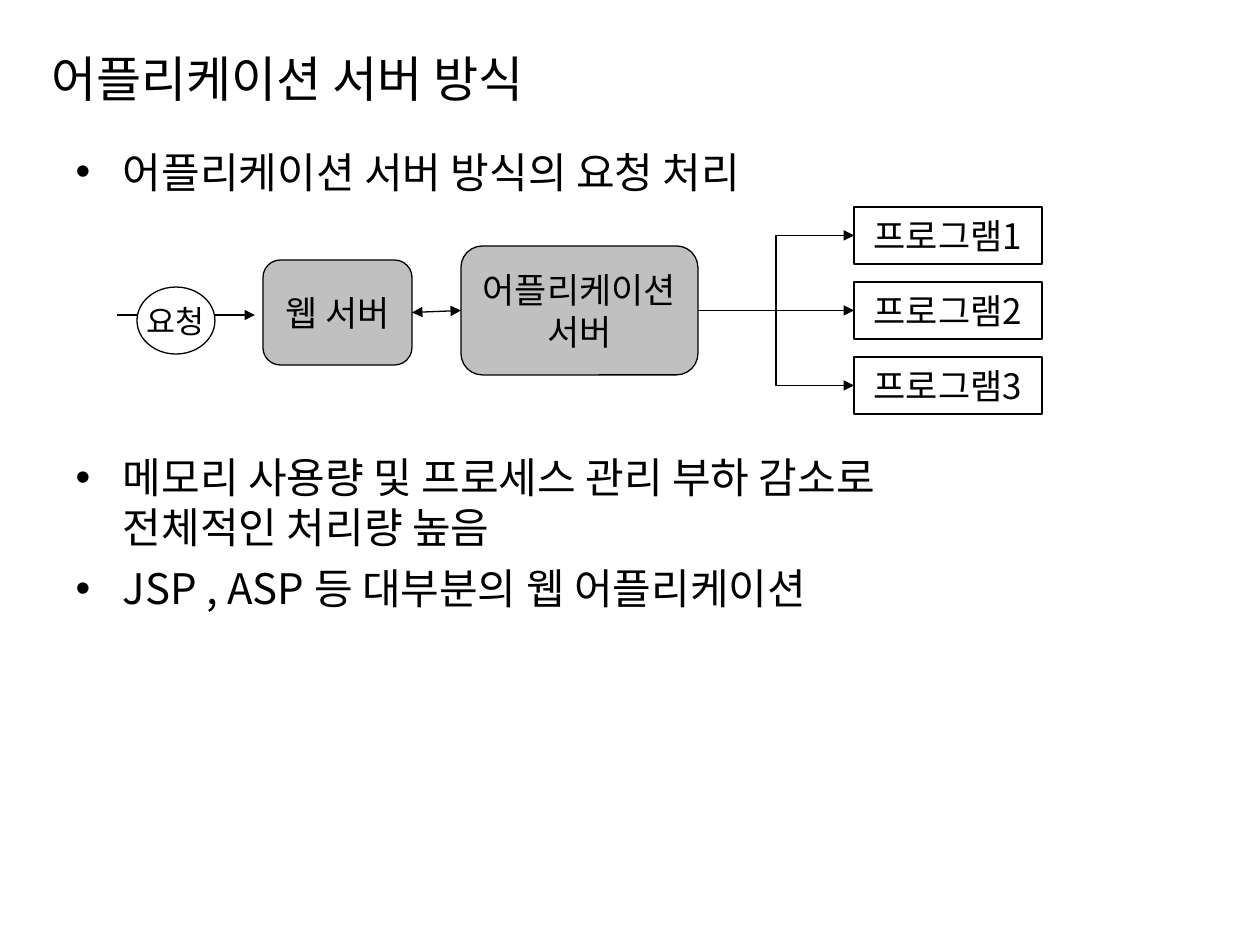
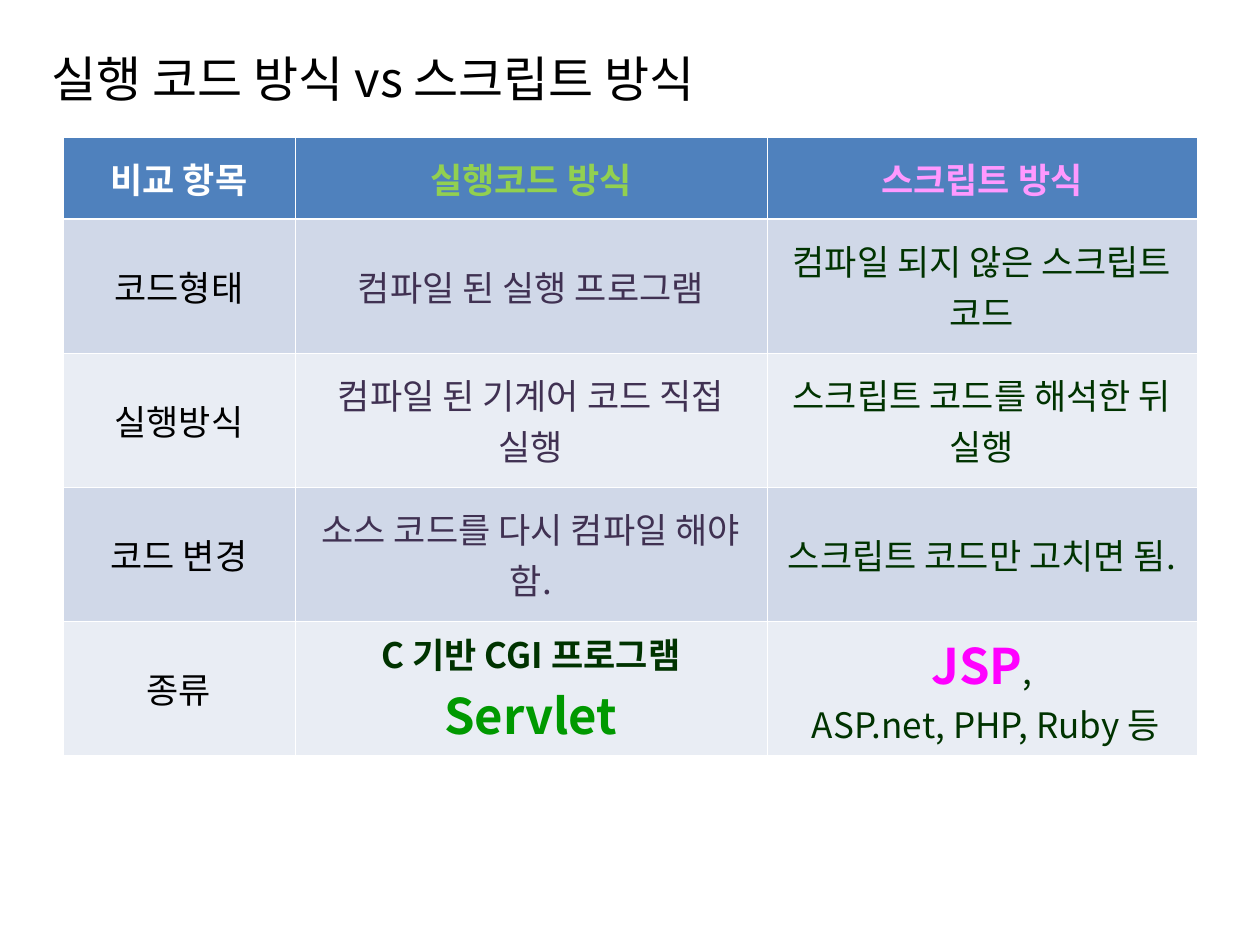
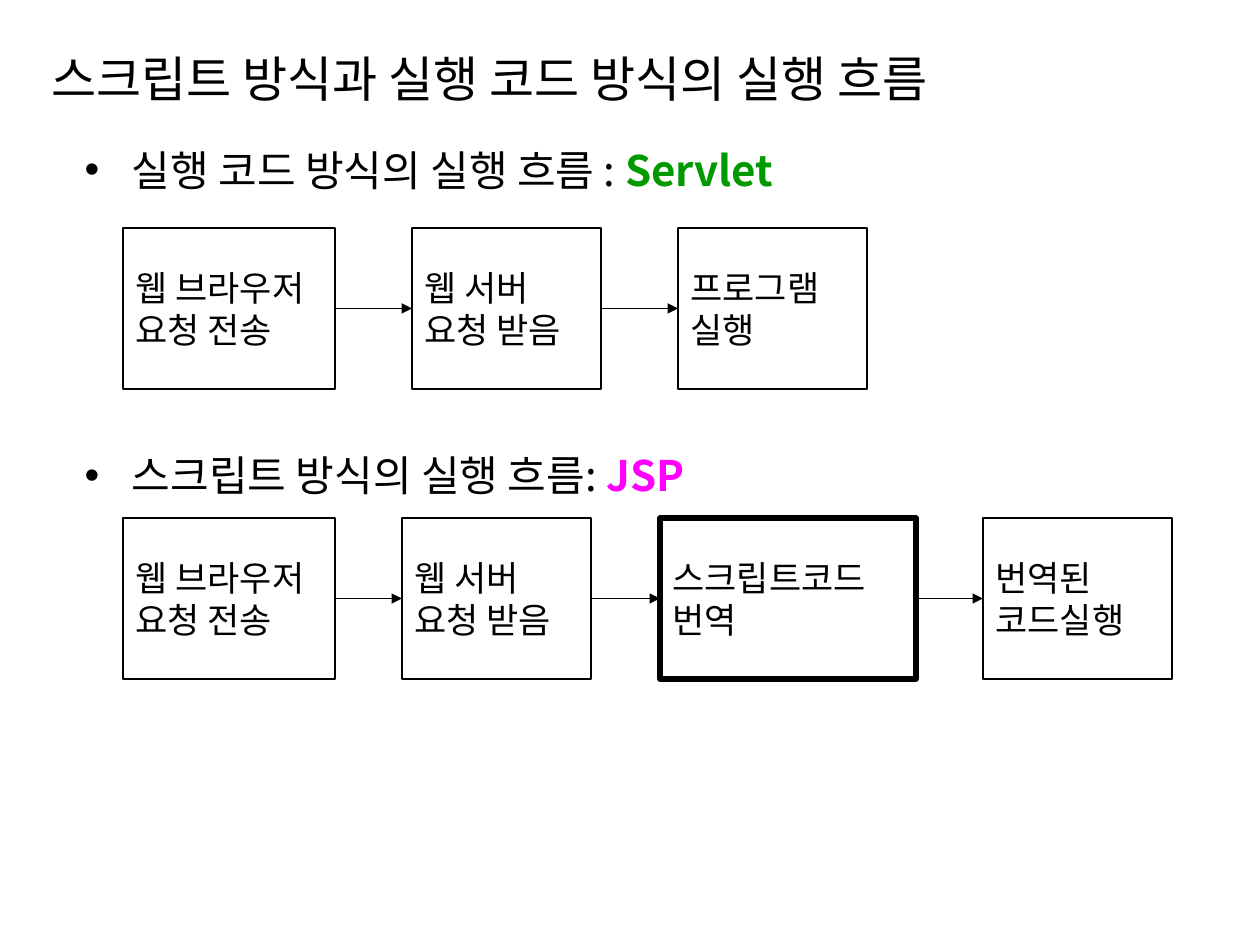
from dataclasses import dataclass
from itertools import pairwise
from typing import Any, NamedTuple

import lxml.etree
import pptx
import pptx.dml.color
import pptx.enum.shapes
import pptx.enum.text
import pptx.oxml.ns
import pptx.util

FONT = "Noto Sans CJK KR"
COLORS = {
    "ink": "000000", "white": "FFFFFF", "gray": "C0C0C0",
    "blue": "4F81BD", "band": "D0D8E8", "pale": "E9EDF4",
    "lime": "92D050", "pink": "FF99FF", "plum": "403152",
    "pine": "003300", "green": "009900", "rose": "FF00FF",
}
KIND = pptx.enum.shapes.MSO_SHAPE
LINK = pptx.enum.shapes.MSO_CONNECTOR
ALIGN = pptx.enum.text.PP_ALIGN
MIDDLE = pptx.enum.text.MSO_ANCHOR.MIDDLE
LEFT_SIDE, RIGHT_SIDE = 1, 3
LEAD = 1.2
LIST_SIZE = 24
LIST_GAP = 6
FIGURE_GAP = 145.5


class Run(NamedTuple):
    text: str
    color: str = "ink"
    size: int | None = None
    bold: bool = False


Lines = list[list[Run]]


@dataclass
class Box:
    x: int
    y: int
    w: int
    h: int
    text: str
    kind: Any = KIND.RECTANGLE
    fill: str = "white"
    size: int = 20
    align: Any = ALIGN.CENTER
    line: float = 0.75


def px(count: int) -> int:
    return round(count * 914400 / 126)


def rgb(name: str) -> pptx.dml.color.RGBColor:
    return pptx.dml.color.RGBColor.from_string(COLORS[name])


def tag(parent: Any, name: str, **attrs: str) -> Any:
    """Append a drawing element to its parent."""
    return lxml.etree.SubElement(parent, pptx.oxml.ns.qn(name), attrs)


def plain(text: str, color: str = "ink", bold: bool = False) -> Lines:
    return [[Run(part, color, bold=bold)] for part in text.split("\n")]


def write(frame: Any, lines: Lines, *, size: int, align: Any = ALIGN.LEFT,
          lead: float | None = None, gaps: tuple[float, ...] = ()) -> None:
    """Fill a text frame; gaps are the spaces before the second line onward."""
    for i, runs in enumerate(lines):
        para = frame.add_paragraph() if i else frame.paragraphs[0]
        para.alignment = align
        para.space_before = pptx.util.Pt(gaps[i - 1] if i and gaps else 0)
        if lead:
            para.line_spacing = pptx.util.Pt(size * lead)
        for run in runs:
            for j, part in enumerate(run.text.split("\n")):
                if j:
                    para.add_line_break()
                piece = para.add_run()
                piece.text = part
                font = piece.font
                font.size = pptx.util.Pt(run.size or size)
                font.bold = run.bold
                font.color.rgb = rgb(run.color)
                font.name = FONT
                tag(piece._r.get_or_add_rPr(), "a:ea", typeface=FONT)


def place(shape: Any, x: int, y: int, w: int, h: int) -> None:
    shape.left, shape.top, shape.width, shape.height = map(px, (x, y, w, h))


def start(deck: Any, layout: int, title: str) -> Any:
    """Add a slide with its title."""
    slide = deck.slides.add_slide(deck.slide_layouts[layout])
    head = slide.shapes.title
    place(head, 39, 38, 1191, 80)
    head.text_frame.vertical_anchor = MIDDLE
    head.text_frame.auto_size = pptx.enum.text.MSO_AUTO_SIZE.NONE
    write(head.text_frame, plain(title), size=28)
    return slide


def bullets(slide: Any, x: int, y: int, lines: Lines,
            gaps: tuple[float, ...]) -> None:
    body = slide.placeholders[1]
    place(body, x, y, 1134, 707)
    body.text_frame.auto_size = pptx.enum.text.MSO_AUTO_SIZE.NONE
    write(body.text_frame, lines, size=LIST_SIZE, lead=LEAD, gaps=gaps)


def draw(slide: Any, box: Box) -> Any:
    shape = slide.shapes.add_shape(
        box.kind, *map(px, (box.x, box.y, box.w, box.h)))
    shape.shadow.inherit = False
    shape.fill.solid()
    shape.fill.fore_color.rgb = rgb(box.fill)
    shape.line.color.rgb = rgb("ink")
    shape.line.width = pptx.util.Pt(box.line)
    frame = shape.text_frame
    frame.vertical_anchor = MIDDLE
    frame.word_wrap = box.align == ALIGN.LEFT
    lines = plain(box.text)
    write(frame, lines, size=box.size, align=box.align,
          lead=LEAD if len(lines) > 1 else None)
    return shape


def arrow(slide: Any, kind: Any = LINK.STRAIGHT,
          ends: tuple[int, int, int, int] = (0, 0, 0, 0),
          both: bool = False) -> Any:
    line = slide.shapes.add_connector(kind, *map(px, ends))
    line.line.color.rgb = rgb("ink")
    line.line.width = pptx.util.Pt(0.75)
    props = line.element.spPr
    stroke = props.find(pptx.oxml.ns.qn("a:ln"))
    if both:
        tag(stroke, "a:headEnd", type="triangle")
    tag(stroke, "a:tailEnd", type="triangle")
    tag(props, "a:effectLst")
    return line


def join(slide: Any, first: Any, second: Any, kind: Any = LINK.STRAIGHT,
         both: bool = False) -> None:
    """Link the right side of one shape to the left side of the next."""
    line = arrow(slide, kind, both=both)
    line.begin_connect(first, RIGHT_SIDE)
    line.end_connect(second, LEFT_SIDE)


def server(deck: Any) -> None:
    slide = start(deck, 1, "어플리케이션 서버 방식")
    bullets(slide, 63, 140, plain("어플리케이션 서버 방식의 요청 처리") + [
        [Run("메모리 사용량 및 프로세스 관리 부하 감소로\n전체적인 처리량 높음")],
        [Run("JSP , ASP 등 대부분의 웹 어플리케이션")],
    ], (FIGURE_GAP, LIST_GAP))
    web = draw(slide, Box(263, 260, 149, 105, "웹 서버",
                          KIND.ROUNDED_RECTANGLE, "gray"))
    arrow(slide, ends=(117, 315, 255, 315))
    draw(slide, Box(137, 287, 78, 67, "요청", KIND.OVAL, size=18))
    app = draw(slide, Box(461, 246, 237, 129, "어플리케이션\n서버",
                          KIND.ROUNDED_RECTANGLE, "gray"))
    join(slide, web, app, both=True)
    for i in range(3):
        goal = draw(slide, Box(854, 207 + 75 * i, 188, 57, f"프로그램{i + 1}"))
        join(slide, app, goal, LINK.ELBOW)


def edge(cell: Any, row: int) -> None:
    """Draw white cell borders, thicker below the header, then the fill."""
    props = cell._tc.get_or_add_tcPr()
    for side in "LRTB":
        thick = (row, side) in ((0, "B"), (1, "T"))
        line = tag(props, f"a:ln{side}",
                   w=str(pptx.util.Pt(1.47 if thick else 0.45)))
        tag(tag(line, "a:solidFill"), "a:srgbClr", val=COLORS["white"])
    cell.fill.solid()
    cell.fill.fore_color.rgb = rgb(
        ("pale", "band")[row % 2] if row else "blue")


def compare(deck: Any) -> None:
    slide = start(deck, 5, "실행 코드 방식 vs 스크립트 방식")
    heads = ("비교 항목", "실행코드 방식", "스크립트 방식")
    facts = (
        ("코드형태", "컴파일 된 실행 프로그램", "컴파일 되지 않은 스크립트 코드"),
        ("실행방식", "컴파일 된 기계어 코드 직접 실행", "스크립트 코드를 해석한 뒤 실행"),
        ("코드 변경", "소스 코드를 다시 컴파일 해야 함.", "스크립트 코드만 고치면 됨."),
    )
    rows = [[plain(text, color, True) for text, color
             in zip(heads, ("white", "lime", "pink"))]]
    rows += [[plain(text, color) for text, color
              in zip(fact, ("ink", "plum", "pine"))] for fact in facts]
    rows.append([
        plain("종류"),
        [[Run("C 기반 CGI 프로그램\n", "pine", bold=True),
          Run("Servlet", "green", 28, True)]],
        [[Run("JSP", "rose", 28, True),
          Run(",\n ASP.net, PHP, Ruby 등", "pine")]],
    ])
    table = slide.shapes.add_table(
        len(rows), len(heads), *map(px, (63, 137, 1134, 618))).table
    for col, width in zip(table.columns, (232, 472, 430)):
        col.width = px(width)
    for i, row in enumerate(rows):
        table.rows[i].height = px(134 if i else 82)
        for j, lines in enumerate(row):
            cell = table.cell(i, j)
            edge(cell, i)
            cell.vertical_anchor = MIDDLE
            cell.margin_left = cell.margin_right = px(10)
            write(cell.text_frame, lines, size=20, align=ALIGN.CENTER)


def flow(deck: Any) -> None:
    slide = start(deck, 1, "스크립트 방식과 실행 코드 방식의 실행 흐름")
    bullets(slide, 72, 138, [
        [Run("실행 코드 방식의 실행 흐름 : "), Run("Servlet", "green", bold=True)],
        [Run("스크립트 방식의 실행 흐름: "), Run("JSP", "rose", bold=True)],
    ], (FIGURE_GAP,))
    ask, take = "웹 브라우저\n요청 전송", "웹 서버\n요청 받음"
    chains = {
        228: ((123, 212, ask), (412, 189, take), (678, 189, "프로그램\n실행")),
        518: ((123, 212, ask), (402, 189, take),
              (660, 256, "스크립트코드\n번역"), (983, 189, "번역된\n코드실행")),
    }
    for y, steps in chains.items():
        shapes = [draw(slide, Box(x, y, w, 161, text, align=ALIGN.LEFT,
                                  line=3 if "번역" == text[-2:] else 0.75))
                  for x, w, text in steps]
        for first, second in pairwise(shapes):
            join(slide, first, second)


def main() -> None:
    deck = pptx.Presentation()
    deck.slide_width, deck.slide_height = px(1260), px(945)
    server(deck)
    compare(deck)
    flow(deck)
    deck.save("out.pptx")


if __name__ == "__main__":
    main()
